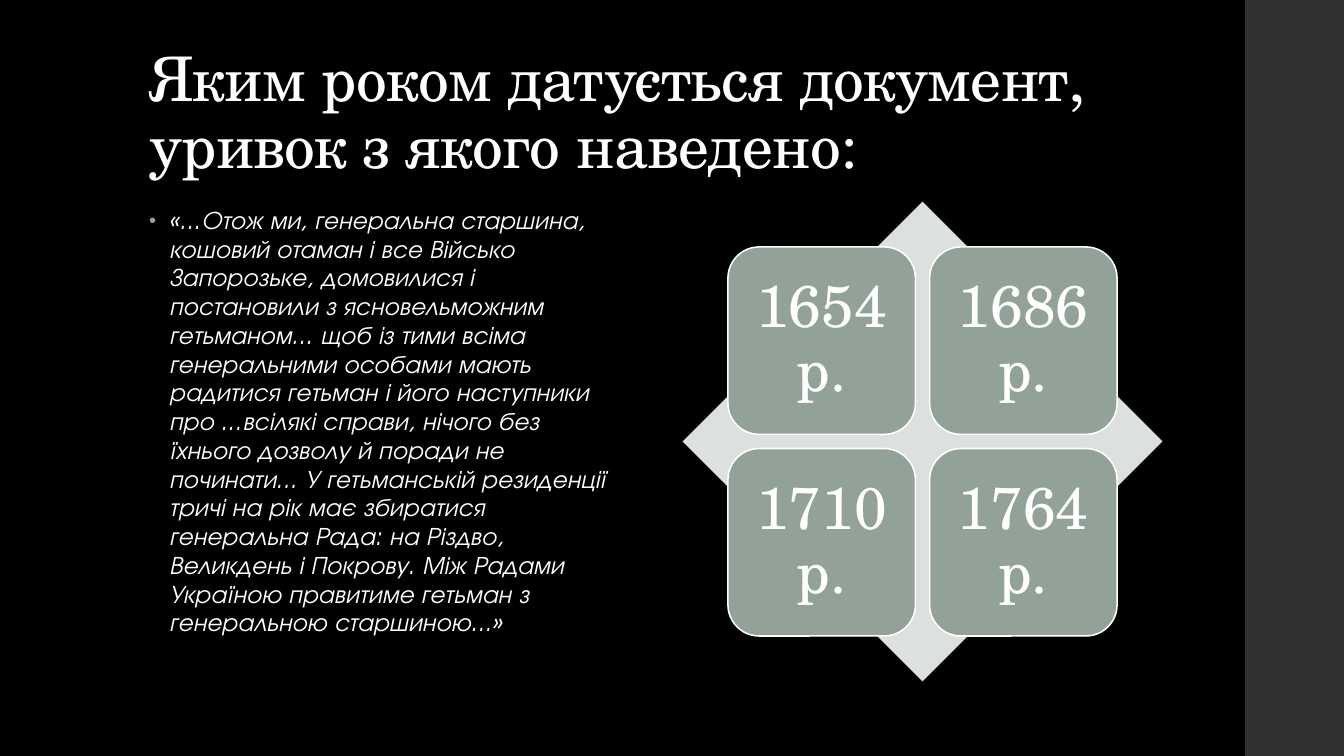
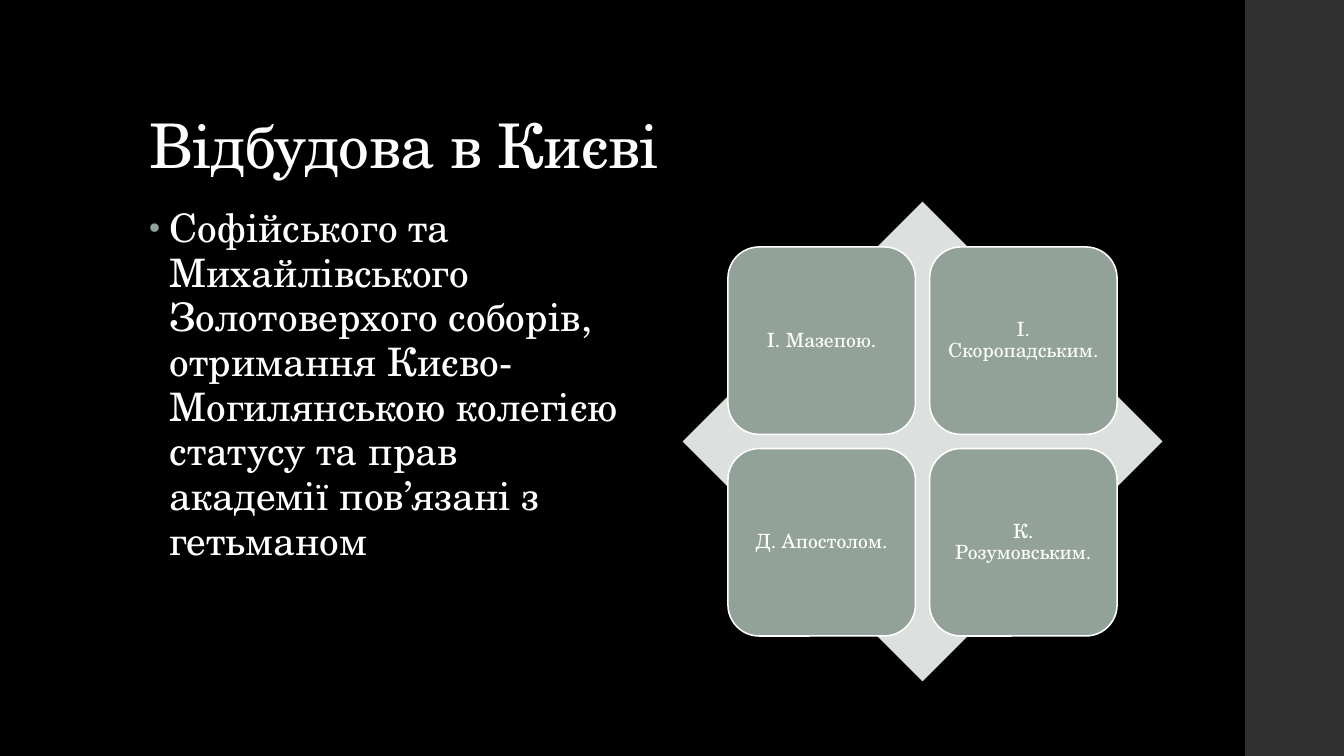
from lxml.etree import SubElement
from pptx import Presentation
from pptx.dml.color import RGBColor
from pptx.enum.shapes import MSO_SHAPE
from pptx.enum.text import MSO_ANCHOR, PP_ALIGN
from pptx.oxml.ns import qn
from pptx.util import Pt

PX = 9144
SLIDE_W, SLIDE_H = 1333, 750
BAND_X = 1235
TITLE_BOX = (138, 40, 1060, 145)
PASSAGE_BOX = (138, 200, 490, 476)
ANSWERS_BOX = (677, 200, 476, 476)
TILE, TILE_GAP = 186, 14
INDENT = 20

BLACK = RGBColor(0x00, 0x00, 0x00)
WHITE = RGBColor(0xFF, 0xFF, 0xFF)
CHARCOAL = RGBColor(0x30, 0x30, 0x30)
SAGE = RGBColor(0x93, 0xA2, 0x99)
PALE_SAGE = RGBColor(0xDC, 0xE0, 0xDE)

SERIF = "TeX Gyre Schola"
SANS = "TeX Gyre Adventor"

QUESTIONS = [
    dict(
        title="Яким роком датується документ, уривок з якого наведено:",
        passage="«...Отож ми, генеральна старшина, кошовий отаман і все Військо "
                "Запорозьке, домовилися і постановили з ясновельможним гетьманом... "
                "щоб із тими всіма генеральними особами мають радитися гетьман і його "
                "наступники про ...всілякі справи, нічого без їхнього дозволу й поради "
                "не починати... У гетьманській резиденції тричі на рік має збиратися "
                "генеральна Рада: на Різдво, Великдень і Покрову. Між Радами Україною "
                "правитиме гетьман з генеральною старшиною...»",
        passage_style=dict(size=18, face=SANS, italic=True),
        answers=["1654 р.", "1686 р.", "1710 р.", "1764 р."],
        answer_size=42,
        answer_inset=17,
    ),
    dict(
        title="Відбудова в Києві",
        passage="Софійського та Михайлівського Золотоверхого соборів, отримання "
                "Києво-Могилянською колегією статусу та прав академії пов’язані з "
                "гетьманом",
        passage_style=dict(size=28, face=SERIF),
        answers=["І. Мазепою.", "І. Скоропадським.", "Д. Апостолом.", "К. Розумовським."],
        answer_size=14,
        answer_inset=6,
    ),
]


def emu(*lengths):
    return [length * PX for length in lengths]


def add_filled(shapes, preset, box, color):
    shape = shapes.add_shape(preset, *emu(*box))
    shape.shadow.inherit = False
    shape.fill.solid()
    shape.fill.fore_color.rgb = color
    shape.line.fill.background()
    return shape


def write(paragraph, text, size, face=SERIF, italic=None, spacing=0):
    run = paragraph.add_run()
    run.text = text
    font = run.font
    font.size = Pt(size)
    font.name = face
    font.italic = italic
    font.color.rgb = WHITE
    if spacing:
        font._element.set("spc", str(spacing))


def add_bullet(paragraph):
    props = paragraph._p.get_or_add_pPr()
    props.set("marL", str(INDENT * PX))
    props.set("indent", str(-INDENT * PX))
    color = SubElement(props, qn("a:buClr"))
    SubElement(color, qn("a:srgbClr"), val=str(SAGE))
    SubElement(props, qn("a:buSzPct"), val="80000")
    SubElement(props, qn("a:buFont"), typeface="Arial")
    SubElement(props, qn("a:buChar"), char="•")


def add_text_frame(slide, box, anchor, line_spacing):
    frame = slide.shapes.add_textbox(*emu(*box)).text_frame
    frame.word_wrap = True
    frame.vertical_anchor = anchor
    frame.paragraphs[0].line_spacing = line_spacing
    return frame


def add_backdrop(slide):
    slide.background.fill.solid()
    slide.background.fill.fore_color.rgb = BLACK
    band = (BAND_X, 0, SLIDE_W - BAND_X, SLIDE_H)
    add_filled(slide.shapes, MSO_SHAPE.RECTANGLE, band, CHARCOAL)


def add_title(slide, box, title):
    frame = add_text_frame(slide, box, MSO_ANCHOR.BOTTOM, 0.9)
    write(frame.paragraphs[0], title, 44, spacing=-50)


def add_passage(slide, box, passage, style):
    frame = add_text_frame(slide, box, MSO_ANCHOR.TOP, 0.95)
    paragraph = frame.paragraphs[0]
    add_bullet(paragraph)
    write(paragraph, passage, spacing=10, **style)


def add_answer(shapes, box, answer, size, inset):
    tile = add_filled(shapes, MSO_SHAPE.ROUNDED_RECTANGLE, box, SAGE)
    tile.line.color.rgb = WHITE
    tile.line.width = Pt(1.1)
    frame = tile.text_frame
    frame.word_wrap = True
    frame.vertical_anchor = MSO_ANCHOR.MIDDLE
    frame.margin_left = frame.margin_right = inset * PX
    frame.margin_top = frame.margin_bottom = inset * PX
    paragraph = frame.paragraphs[0]
    paragraph.alignment = PP_ALIGN.CENTER
    paragraph.line_spacing = 0.9
    write(paragraph, answer, size)


def add_answers(slide, box, answers, size, inset):
    left, top, width, height = box
    shapes = slide.shapes.add_group_shape().shapes
    add_filled(shapes, MSO_SHAPE.DIAMOND, box, PALE_SAGE)
    grid = 2 * TILE + TILE_GAP
    grid_left = left + (width - grid) // 2
    grid_top = top + (height - grid) // 2
    for index, answer in enumerate(answers):
        row, column = divmod(index, 2)
        x = grid_left + column * (TILE + TILE_GAP)
        y = grid_top + row * (TILE + TILE_GAP)
        add_answer(shapes, (x, y, TILE, TILE), answer, size, inset)


def add_question(deck, question):
    slide = deck.slides.add_slide(deck.slide_layouts[6])
    add_backdrop(slide)
    add_title(slide, TITLE_BOX, question["title"])
    add_passage(slide, PASSAGE_BOX, question["passage"], question["passage_style"])
    add_answers(slide, ANSWERS_BOX, question["answers"],
                question["answer_size"], question["answer_inset"])


def main():
    deck = Presentation()
    deck.slide_width, deck.slide_height = emu(SLIDE_W, SLIDE_H)
    for question in QUESTIONS:
        add_question(deck, question)
    deck.save("out.pptx")


if __name__ == "__main__":
    main()
